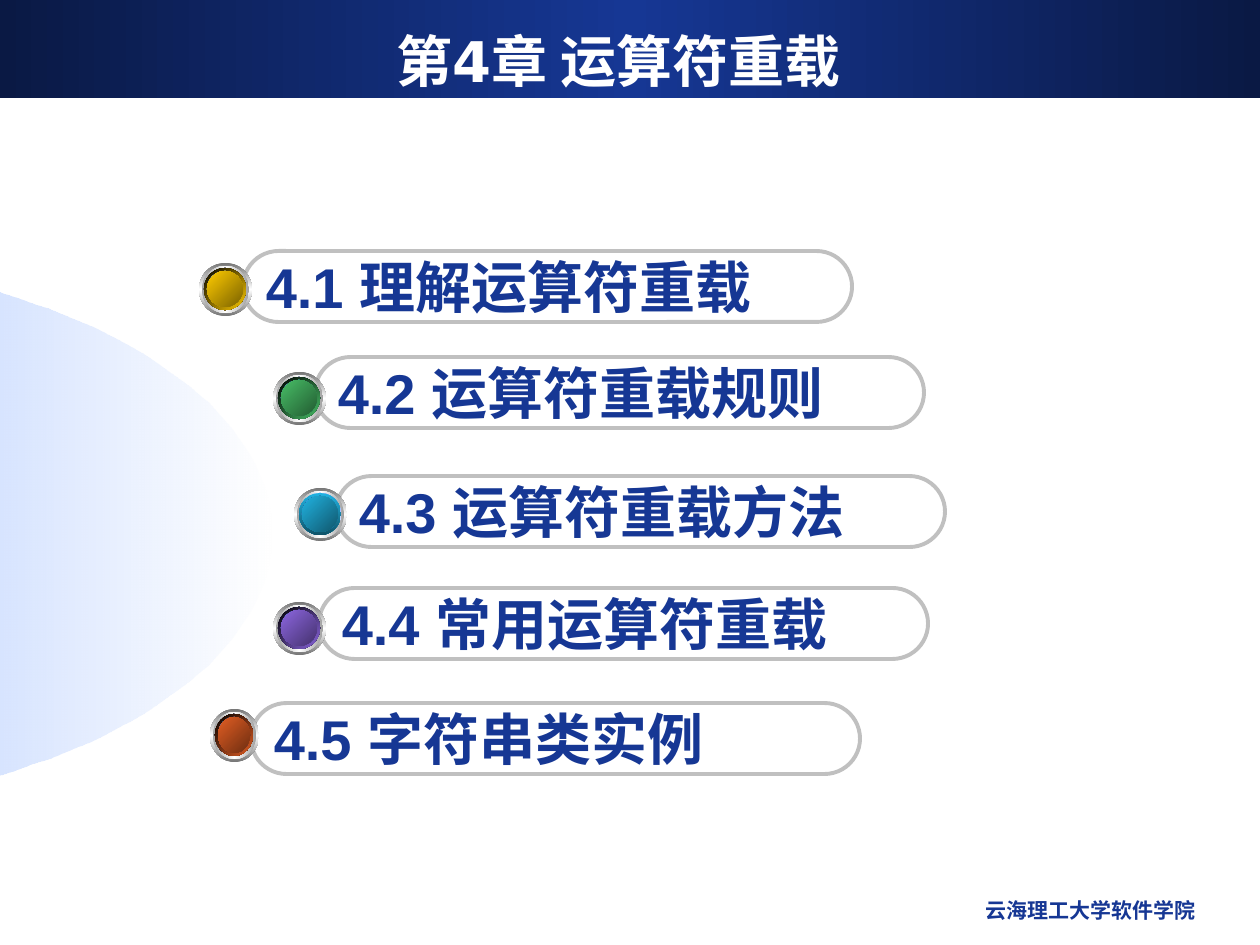
import math

from pptx import Presentation
from pptx.dml.color import RGBColor
from pptx.enum.shapes import MSO_SHAPE
from pptx.enum.text import MSO_ANCHOR, PP_ALIGN
from pptx.oxml import parse_xml
from pptx.oxml.ns import nsdecls, qn
from pptx.util import Pt

RECT, OVAL, PILL = MSO_SHAPE.RECTANGLE, MSO_SHAPE.OVAL, MSO_SHAPE.ROUNDED_RECTANGLE
TOP, MIDDLE = MSO_ANCHOR.TOP, MSO_ANCHOR.MIDDLE
LEFT, CENTER, RIGHT = PP_ALIGN.LEFT, PP_ALIGN.CENTER, PP_ALIGN.RIGHT

PX = 914400 / 126

COLORS = {
    "navy": "163794", "night": "0A1944", "white": "FFFFFF", "black": "000000",
    "outline": "C0C0C0", "rim": "767676", "bevel": "A2A2A2",
    "sky": "6699FF", "slate": "37538A",
    "gold": "FFCC00", "dark_gold": "7C6300",
    "green": "48BE67", "dark_green": "235C32",
    "cyan": "21B3E1", "dark_cyan": "10576D", "deep_cyan": "0F5368",
    "violet": "8D67E1", "dark_violet": "45326D",
    "orange": "E35E23", "dark_orange": "6E2E11",
}

BLACK_EDGE = ("black", None, 45)
CYAN_EDGE = ("cyan", "deep_cyan", 90)

SECTIONS = [
    ("4.1 理解运算符重载", (243, 251), (199, 263, 53, 53), "gold", "dark_gold", BLACK_EDGE),
    ("4.2 运算符重载规则", (315, 357), (273, 372, 53, 53), "green", "dark_green", BLACK_EDGE),
    ("4.3 运算符重载方法", (336, 476), (294, 488, 53, 53), "cyan", "dark_cyan", CYAN_EDGE),
    ("4.4 常用运算符重载", (319, 588), (273, 602, 53, 53), "violet", "dark_violet", BLACK_EDGE),
    ("4.5 字符串类实例", (251, 703), (210, 709, 49, 53), "orange", "dark_orange", BLACK_EDGE),
]
PILL_SIZE = (609, 71)


def emu(*lengths):
    return [round(length * PX) for length in lengths]


def apply_gradient(shape, names, angle, alphas=None):
    alphas = alphas or [100] * len(names)
    last = len(names) - 1
    stops = "".join(
        f'<a:gs pos="{100000 * i // last}"><a:srgbClr val="{COLORS[name]}">'
        f'<a:alpha val="{alpha * 1000}"/></a:srgbClr></a:gs>'
        for i, (name, alpha) in enumerate(zip(names, alphas))
    )
    gradient = parse_xml(
        f'<a:gradFill {nsdecls("a")} rotWithShape="1"><a:gsLst>{stops}</a:gsLst>'
        f'<a:lin ang="{angle * 60000}" scaled="0"/></a:gradFill>'
    )
    shape.fill.background()
    properties = shape.element.spPr
    properties.replace(properties.find(qn("a:noFill")), gradient)
    shape.line.fill.background()
    shape.shadow.inherit = False


def write(shape, text, size, color, font, align, anchor, wrap):
    frame = shape.text_frame
    frame.word_wrap = wrap
    frame.vertical_anchor = anchor
    paragraph = frame.paragraphs[0]
    paragraph.text = text
    paragraph.alignment = align
    paragraph.font.size = Pt(size)
    paragraph.font.bold = True
    paragraph.font.name = font
    paragraph.font.color.rgb = RGBColor.from_string(COLORS[color])


def add_header(slide, left, top, width, height):
    band = slide.shapes.add_shape(RECT, *emu(left, top, width, height))
    apply_gradient(band, ["night", "navy", "night"], 0)
    title = slide.shapes.add_textbox(*emu(left + 42, top + 21, width - 94, height - 20))
    write(title, "第4章 运算符重载 ", 32, "white", "DejaVu Sans", CENTER, MIDDLE, True)


def add_footer(slide, left, top, width, height):
    school = slide.shapes.add_textbox(*emu(left, top, width, height))
    write(school, "云海理工大学软件学院", 12, "navy", "Arial", RIGHT, TOP, True)


def add_side_dome(slide, left, top, width, height):
    radius = height / 2
    arc = [
        (left + width * math.cos(angle), top + radius + radius * math.sin(angle))
        for angle in (math.radians(step) for step in range(-90, 91, 2))
    ]
    builder = slide.shapes.build_freeform(*arc[0], scale=PX)
    builder.add_line_segments(arc[1:], close=True)
    apply_gradient(builder.convert_to_shape(), ["sky", "white"], 0, [56, 48])


def add_ball(slide, box, color, shade, edge):
    left, top, width, height = box
    edge_start, edge_end, edge_angle = edge
    layers = [
        (0, 0, ["rim", "white", "rim"], 90),
        (3, 6, ["bevel", "white", "bevel"], 0),
        (5, 11, ["white", "sky", "white"], 45),
        (5, 11, [edge_start, edge_end or color], edge_angle),
        (8, 17, ["slate", "sky", "slate"], 315),
        (8, 17, [color, shade], 45),
    ]
    ball = slide.shapes.add_group_shape()
    for inset, shrink, names, angle in layers:
        disc = ball.shapes.add_shape(
            OVAL, *emu(left + inset, top + inset, width - shrink, height - shrink))
        apply_gradient(disc, names, angle)


def add_section(slide, text, corner, ball_box, color, shade, edge):
    pill = slide.shapes.add_shape(PILL, *emu(*corner, *PILL_SIZE))
    pill.adjustments[0] = 0.5
    pill.fill.background()
    pill.line.color.rgb = RGBColor.from_string(COLORS["outline"])
    pill.line.width = Pt(2.25)
    pill.shadow.inherit = False
    write(pill, text, 32, "navy", "Arial", LEFT, MIDDLE, False)
    add_ball(slide, ball_box, color, shade, edge)


def main():
    deck = Presentation()
    deck.slide_width, deck.slide_height = emu(1260, 945)
    slide = deck.slides.add_slide(deck.slide_layouts[6])
    add_header(slide, 0, 0, 1260, 98)
    add_footer(slide, 809, 891, 399, 44)
    add_side_dome(slide, -271, 256, 542, 556)
    for section in SECTIONS:
        add_section(slide, *section)
    deck.save("out.pptx")


if __name__ == "__main__":
    main()
